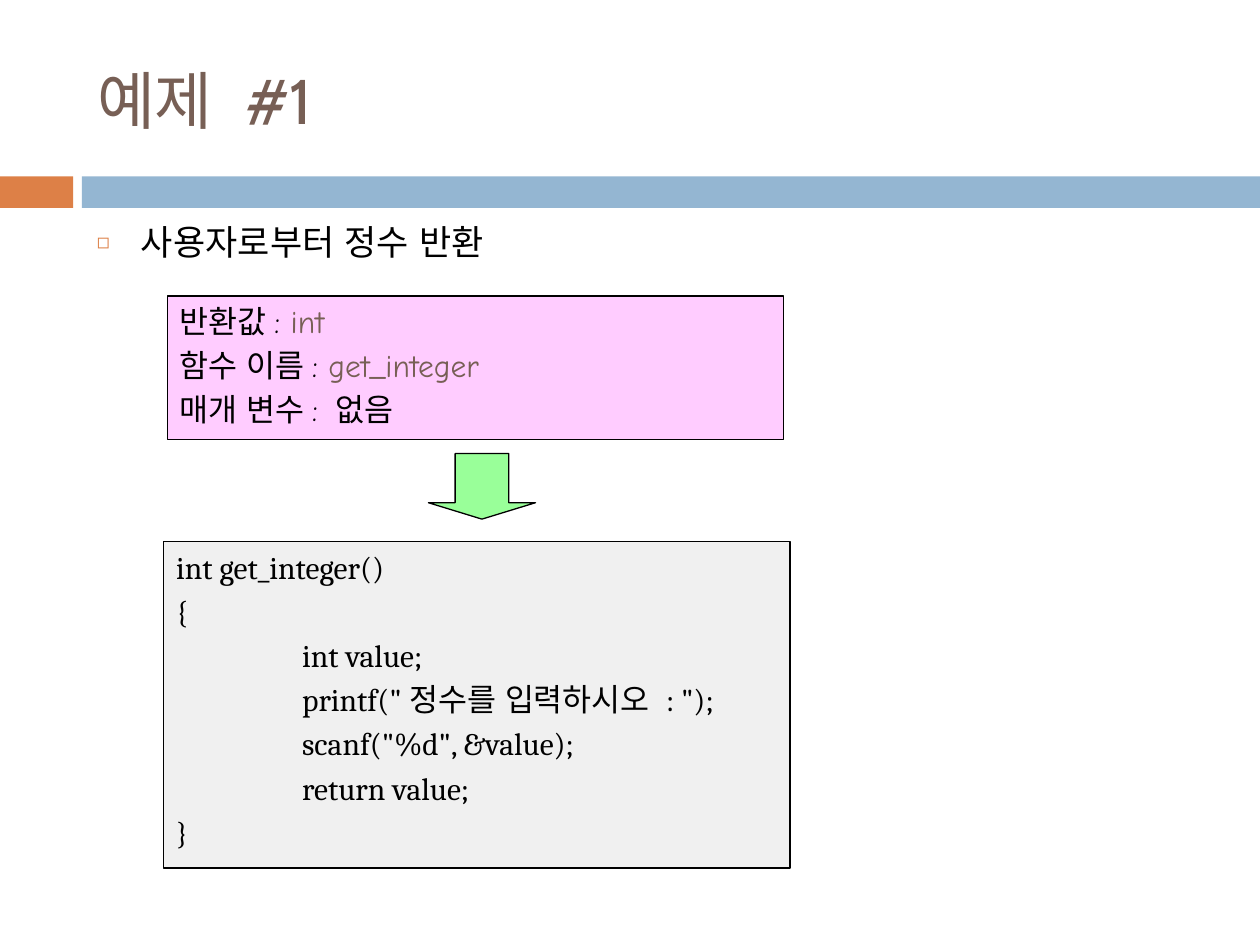
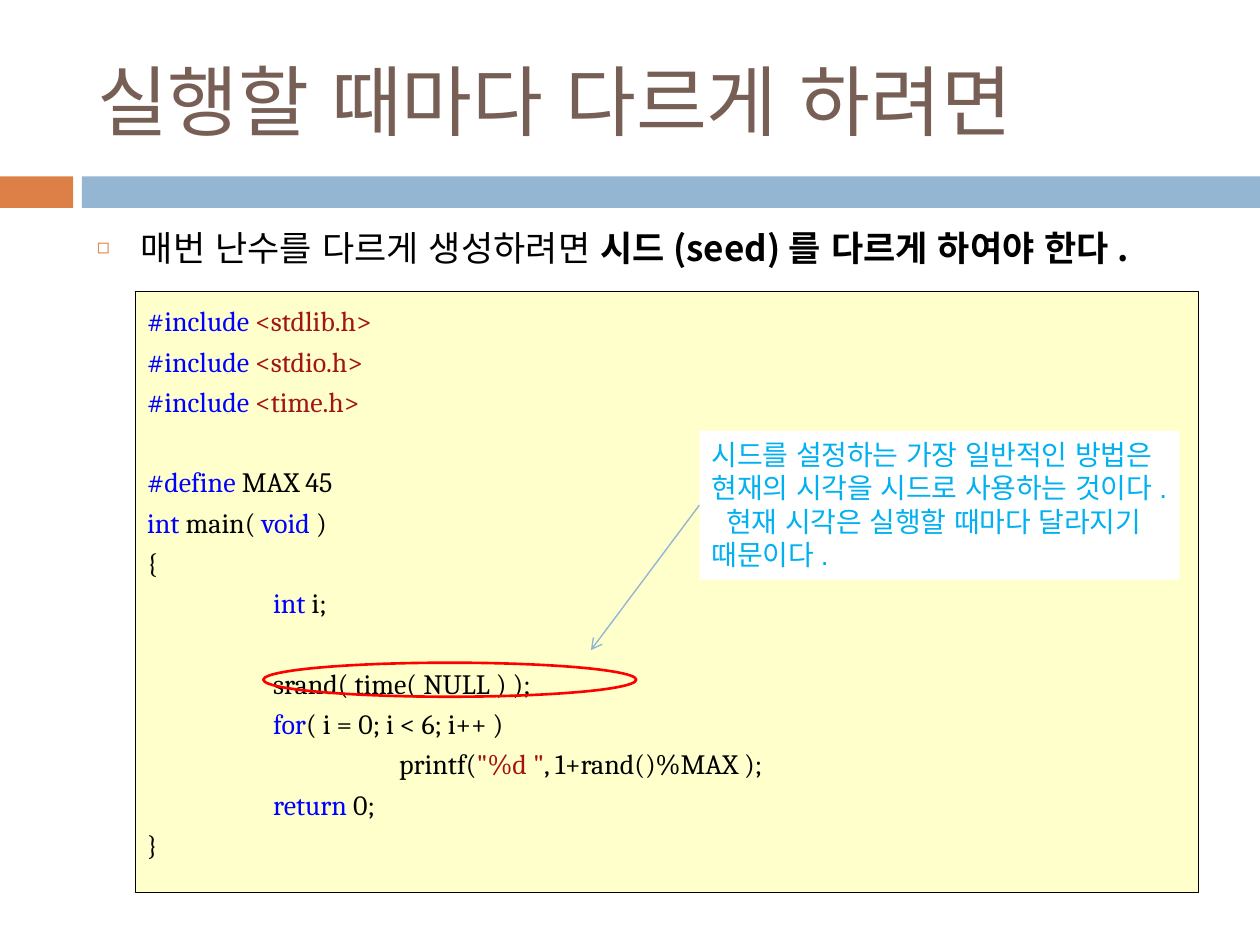
from dataclasses import dataclass

import lxml.etree
import pptx
import pptx.dml.color
import pptx.enum.shapes
import pptx.enum.text
import pptx.oxml.ns
import pptx.util
from pptx.util import Inches

SHAPE = pptx.enum.shapes.MSO_SHAPE
ANCHOR = pptx.enum.text.MSO_ANCHOR


@dataclass(frozen=True)
class Theme:
    # Colours
    orange: str = "DD8047"
    blue: str = "94B6D2"
    brown: str = "775F55"
    black: str = "000000"
    white: str = "FFFFFF"
    pink: str = "FFCCFF"
    green: str = "99FF99"
    grey: str = "F0F0F0"
    yellow: str = "FFFFCC"
    keyword: str = "0000FF"
    literal: str = "A31515"
    mark: str = "FF0000"
    note: str = "00B0F0"
    # Fonts
    title_font: str = "Cabin"
    body_font: str = "Noto Sans CJK KR"
    code_font: str = "Cambria"
    summary_font: str = "Comic Neue"
    note_font: str = "Arial"
    korean_font: str = "Arial"
    # Type sizes
    body_size: int = 20
    text_size: int = 18
    small_size: int = 16


THEME = Theme()


def rgb(colour):
    return pptx.dml.color.RGBColor.from_string(colour)


def add_xml(parent, tag, **attributes):
    return lxml.etree.SubElement(parent, pptx.oxml.ns.qn(tag), attributes)


# Text

def add_runs(paragraph, runs, font, size):
    """Each run is (text, colour) or (text, colour, bold)."""
    for text, colour, *bold in runs:
        run = paragraph.add_run()
        run.text = text
        run.font.name = font
        run.font.size = pptx.util.Pt(size)
        run.font.color.rgb = rgb(colour)
        if bold:
            run.font.bold = bold[0]
        add_xml(run.font._element, "a:ea", typeface=THEME.korean_font)


def hang(paragraph, indent):
    properties = paragraph._p.get_or_add_pPr()
    properties.set("marL", str(Inches(indent)))
    properties.set("indent", str(-Inches(indent)))
    return properties


def space_before_percent(paragraph, percent):
    paragraph.space_before = pptx.util.Pt(0)
    spacing = paragraph._p.pPr.find(pptx.oxml.ns.qn("a:spcBef"))
    spacing.remove(spacing[0])
    add_xml(spacing, "a:spcPct", val=str(percent * 1000))


def write_lines(shape, lines, font, size):
    """Fill a shape with one paragraph a line and return the paragraphs."""
    frame = shape.text_frame
    frame.word_wrap = True
    frame.vertical_anchor = ANCHOR.TOP
    paragraphs = [frame.paragraphs[0]]
    paragraphs += [frame.add_paragraph() for _ in lines[1:]]
    for paragraph, runs in zip(paragraphs, lines):
        paragraph.alignment = pptx.enum.text.PP_ALIGN.LEFT
        add_runs(paragraph, runs, font, size)
    return paragraphs


def write_code(shape, lines, size):
    """Write lines of code with tab stops one inch apart."""
    paragraphs = write_lines(shape, lines, THEME.code_font, size)
    for paragraph in paragraphs:
        stops = add_xml(paragraph._p.get_or_add_pPr(), "a:tabLst")
        for inch in (1, 2):
            add_xml(stops, "a:tab", pos=str(Inches(inch)), algn="l")
    return paragraphs


# Shapes

def add_block(slide, kind, box, fill=None, line=None, line_width=0.75):
    shape = slide.shapes.add_shape(kind, *map(Inches, box))
    shape.shadow.inherit = False
    if fill:
        shape.fill.solid()
        shape.fill.fore_color.rgb = rgb(fill)
    else:
        shape.fill.background()
    if line:
        shape.line.color.rgb = rgb(line)
        shape.line.width = pptx.util.Pt(line_width)
    else:
        shape.line.fill.background()
    return shape


def add_pointer(slide, source, side, start, end):
    pointer = slide.shapes.add_connector(
        pptx.enum.shapes.MSO_CONNECTOR.STRAIGHT, *map(Inches, start + end))
    pointer.begin_connect(source, side)
    pointer.line.color.rgb = rgb(THEME.blue)
    pointer.line.width = pptx.util.Pt(0.79)
    add_xml(pointer.line._get_or_add_ln(), "a:tailEnd", type="arrow")
    add_xml(pointer._element.spPr, "a:effectLst")


# Slide parts

def add_titled_slide(deck, title, size):
    slide = deck.slides.add_slide(deck.slide_layouts[5])
    add_block(slide, SHAPE.RECTANGLE, (0, 1.4, 0.58, 0.25), THEME.orange)
    add_block(slide, SHAPE.RECTANGLE, (0.65, 1.4, 9.35, 0.25), THEME.blue)
    heading = slide.shapes.title
    heading.left, heading.top, heading.width, heading.height = map(
        Inches, (0.67, 0.25, 8.92, 1.08))
    write_lines(heading, [[(title, THEME.brown)]], THEME.title_font, size)
    heading.text_frame.vertical_anchor = ANCHOR.MIDDLE
    heading.text_frame.auto_size = pptx.enum.text.MSO_AUTO_SIZE.NONE
    return slide


def add_bullet(slide, top, runs, line_spacing=1.0):
    box = slide.shapes.add_textbox(*map(Inches, (0.67, top, 8.95, 0.41)))
    [bullet] = write_lines(box, [runs], THEME.body_font, THEME.body_size)
    bullet.space_before = pptx.util.Pt(7)
    bullet.line_spacing = line_spacing
    properties = hang(bullet, 0.35)
    colour = add_xml(properties, "a:buClr")
    add_xml(colour, "a:srgbClr", val=THEME.orange)
    add_xml(properties, "a:buSzPct", val="60000")
    add_xml(properties, "a:buFont", typeface=THEME.note_font)
    add_xml(properties, "a:buChar", char="◻")


def build_function_example(deck):
    slide = add_titled_slide(deck, "예제 #1", 36)
    black, brown = THEME.black, THEME.brown
    add_bullet(slide, 1.74, [("사용자로부터 정수 반환", black)], 0.9)

    # Function summary
    summary = add_block(slide, SHAPE.RECTANGLE, (1.33, 2.35, 4.89, 1.14),
                        THEME.pink, black)
    summary_lines = [
        [("반환값: ", black), ("int", brown)],
        [("함수 이름: ", black), ("get_integer", brown)],
        [("매개 변수: 없음", black)],
    ]
    for paragraph in write_lines(summary, summary_lines,
                                 THEME.summary_font, THEME.text_size):
        hang(paragraph, 0.38)
        space_before_percent(paragraph, 20)

    # Function definition
    definition = add_block(slide, SHAPE.RECTANGLE, (1.3, 4.3, 4.97, 2.59),
                           THEME.grey, black)
    code = [
        "int get_integer()",
        "{",
        "\tint value;",
        '\tprintf("정수를 입력하시오 : ");',
        '\tscanf("%d", &value);',
        "\treturn value;",
        "}",
    ]
    for paragraph in write_code(definition, [[(line, black)] for line in code],
                                THEME.text_size):
        space_before_percent(paragraph, 20)

    # Step from summary to definition
    step = add_block(slide, SHAPE.DOWN_ARROW, (3.4, 3.6, 0.85, 0.52),
                     THEME.green, black)
    step.adjustments[0], step.adjustments[1] = 0.5, 0.25


def build_random_seed(deck):
    slide = add_titled_slide(deck, "실행할 때마다 다르게 하려면", 44)
    black, keyword, literal = THEME.black, THEME.keyword, THEME.literal
    add_bullet(slide, 1.75, [
        ("매번 난수를 다르게 생성하려면 ", black),
        ("시드(seed)를 다르게 하여야 한다.", black, True),
    ])

    # Program, in sections set apart by one line
    program = add_block(slide, SHAPE.RECTANGLE, (1.07, 2.31, 8.44, 4.77),
                        THEME.yellow, black, 0.25)
    includes = [[("#include ", keyword), (f"<{header}.h>", literal)]
                for header in ("stdlib", "stdio", "time")]
    declarations = [
        [("#define ", keyword), ("MAX 45", black)],
        [("int ", keyword), ("main( ", black), ("void ", keyword), (")", black)],
        [("{", black)],
        [("\t", black), ("int ", keyword), ("i;", black)],
    ]
    statements = [
        [("\tsrand( time( NULL ) );", black)],
        [("\t", black), ("for", keyword), ("( i = 0; i < 6; i++ )", black)],
        [("\t\tprintf(", black), ('"%d "', literal),
         (", 1+rand()%MAX );", black)],
        [("\t", black), ("return ", keyword), ("0;", black)],
        [("}", black)],
    ]
    section_starts = (len(includes), len(includes) + len(declarations))
    paragraphs = write_code(program, includes + declarations + statements,
                            THEME.small_size)
    for paragraph in paragraphs:
        paragraph.line_spacing = 1.2
    for start in section_starts:
        paragraphs[start].space_before = pptx.util.Pt(23)

    # Mark on the seed call, with its explanation
    add_block(slide, SHAPE.OVAL, (2.09, 5.26, 2.96, 0.27),
              line=THEME.mark, line_width=1.5)
    note = add_block(slide, SHAPE.RECTANGLE, (5.55, 3.42, 3.81, 1.18),
                     THEME.white)
    explanation = ("시드를 설정하는 가장 일반적인 방법은 현재의 시각을 시드로 "
                   "사용하는 것이다. 현재 시각은 실행할 때마다 달라지기 때문이다.")
    write_lines(note, [[(explanation, THEME.note)]],
                THEME.note_font, THEME.small_size)
    add_pointer(slide, note, 1, (5.55, 4.01), (4.69, 5.16))


def main():
    deck = pptx.Presentation()
    deck.slide_width, deck.slide_height = Inches(10), Inches(7.5)
    build_function_example(deck)
    build_random_seed(deck)
    deck.save("out.pptx")


if __name__ == "__main__":
    main()
